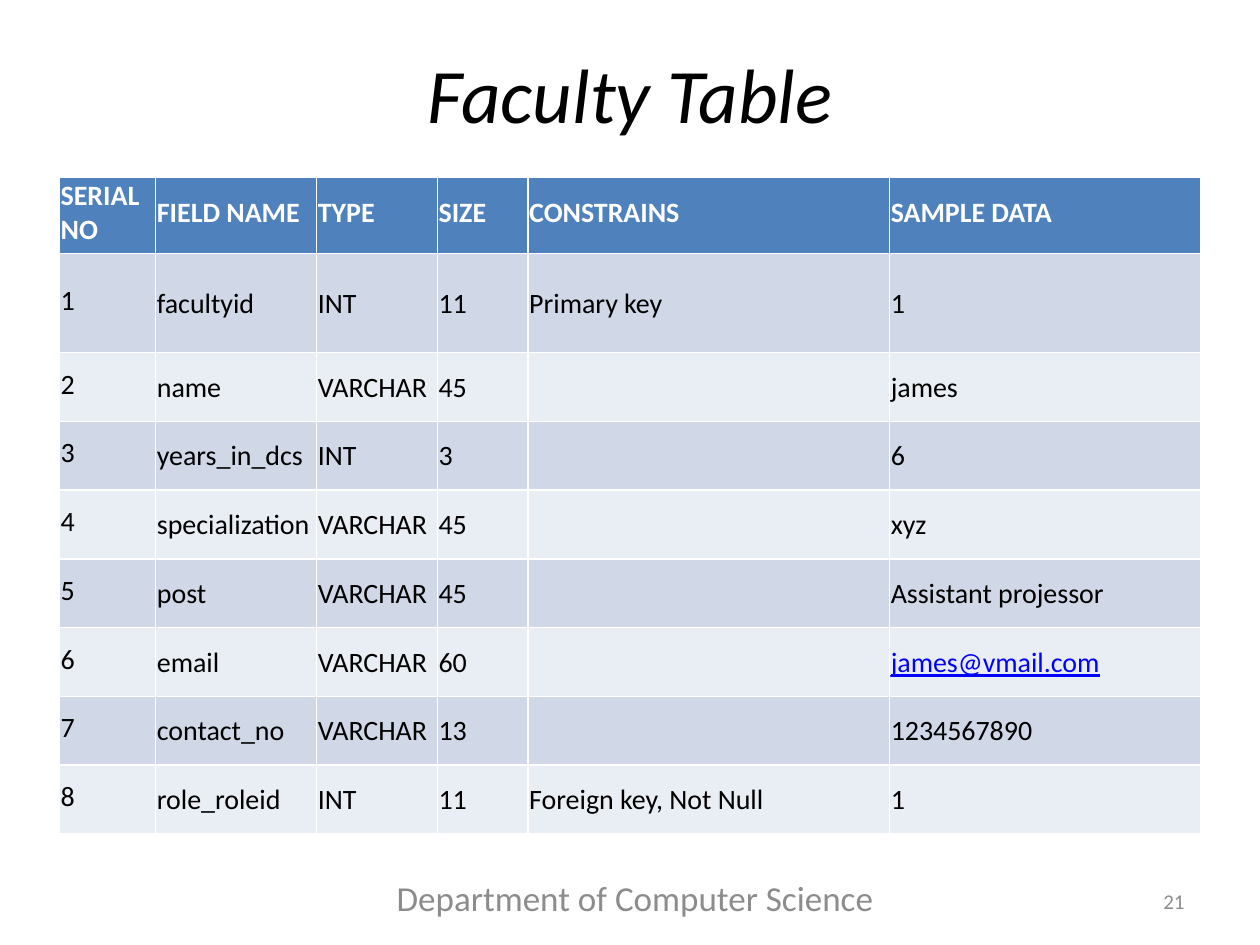
from pptx import Presentation
from pptx.dml.color import RGBColor
from pptx.enum.text import MSO_ANCHOR, PP_ALIGN
from pptx.util import Pt

MIDDLE = MSO_ANCHOR.MIDDLE
LEFT, CENTER, RIGHT = PP_ALIGN.LEFT, PP_ALIGN.CENTER, PP_ALIGN.RIGHT

# Content
TITLE = "Faculty Table"
HEADERS = ["SERIAL NO", "FIELD NAME", "TYPE", "SIZE", "CONSTRAINS", "SAMPLE DATA"]
FIELDS = [
    ("facultyid", "INT", "11", "Primary key", "1"),
    ("name", "VARCHAR", "45", "", "james"),
    ("years_in_dcs", "INT", "3", "", "6"),
    ("specialization", "VARCHAR", "45", "", "xyz"),
    ("post", "VARCHAR", "45", "", "Assistant projessor"),
    ("email", "VARCHAR", "60", "", "james@vmail.com"),
    ("contact_no", "VARCHAR", "13", "", "1234567890"),
    ("role_roleid", "INT", "11", "Foreign key, Not Null", "1"),
]
# Text, size, alignment, box
FOOTERS = [
    ("Department of Computer Science", 20, CENTER, (203.8, 498.2, 318.2, 28.8)),
    ("21", 12, RIGHT, (516.2, 500.4, 167.8, 28.8)),
]

# Layout and colours
TITLE_BOX = (36, 21.6, 648, 62.6)
TABLE_BOX = (34, 101.5, 652, 375)
COL_WIDTHS = [55, 92, 69, 51.8, 206.6, 177.6]
ROW_H, FIRST_FIELD_H = 39.3, 56.6
HEADER_FILL, BANDS = "4F81BD", ("D0D8E8", "E9EDF4")
BLACK, WHITE, GREY, LINK = "000000", "FFFFFF", "8C8C8C", "0000FF"


def rgb(value):
    return RGBColor.from_string(value)


def style(p, size, color, align=LEFT):
    p.alignment = align
    p.font.name = "Calibri"
    p.font.size = Pt(size)
    p.font.color.rgb = rgb(color)


def fill_cell(cell, text, row, col):
    header = row == 0
    link = "@" in text
    cell.fill.solid()
    cell.fill.fore_color.rgb = rgb(HEADER_FILL if header else BANDS[(row - 1) % 2])
    cell.vertical_anchor = MIDDLE
    cell.margin_left = cell.margin_top = cell.margin_right = Pt(0.7)
    cell.margin_bottom = Pt(3.6 if header or col == 0 else 0)
    cell.text = text
    p = cell.text_frame.paragraphs[0]
    style(p, 16, WHITE if header else LINK if link else BLACK)
    p.font.bold = header
    if link:
        p.font.underline = True


prs = Presentation()
prs.slide_width, prs.slide_height = Pt(720), Pt(540)
s = prs.slides.add_slide(prs.slide_layouts[5])

# Title
title = s.shapes.title
title.left, title.top, title.width, title.height = map(Pt, TITLE_BOX)
title.text_frame.text = TITLE
title.text_frame.vertical_anchor = MIDDLE
p = title.text_frame.paragraphs[0]
style(p, 44, BLACK, CENTER)
p.font.italic = True

# Field table: the default table style supplies the white rules
rows = [HEADERS] + [(str(n), *field) for n, field in enumerate(FIELDS, 1)]
table = s.shapes.add_table(len(rows), len(HEADERS), *map(Pt, TABLE_BOX)).table
for column, width in zip(table.columns, COL_WIDTHS):
    column.width = Pt(width)
for r, values in enumerate(rows):
    table.rows[r].height = Pt(FIRST_FIELD_H if r == 1 else ROW_H)
    for c, text in enumerate(values):
        fill_cell(table.cell(r, c), text, r, c)

# Footer and page number
for text, size, align, box in FOOTERS:
    tf = s.shapes.add_textbox(*map(Pt, box)).text_frame
    tf.word_wrap = True
    tf.vertical_anchor = MIDDLE
    tf.text = text
    style(tf.paragraphs[0], size, GREY, align)

prs.save("out.pptx")
